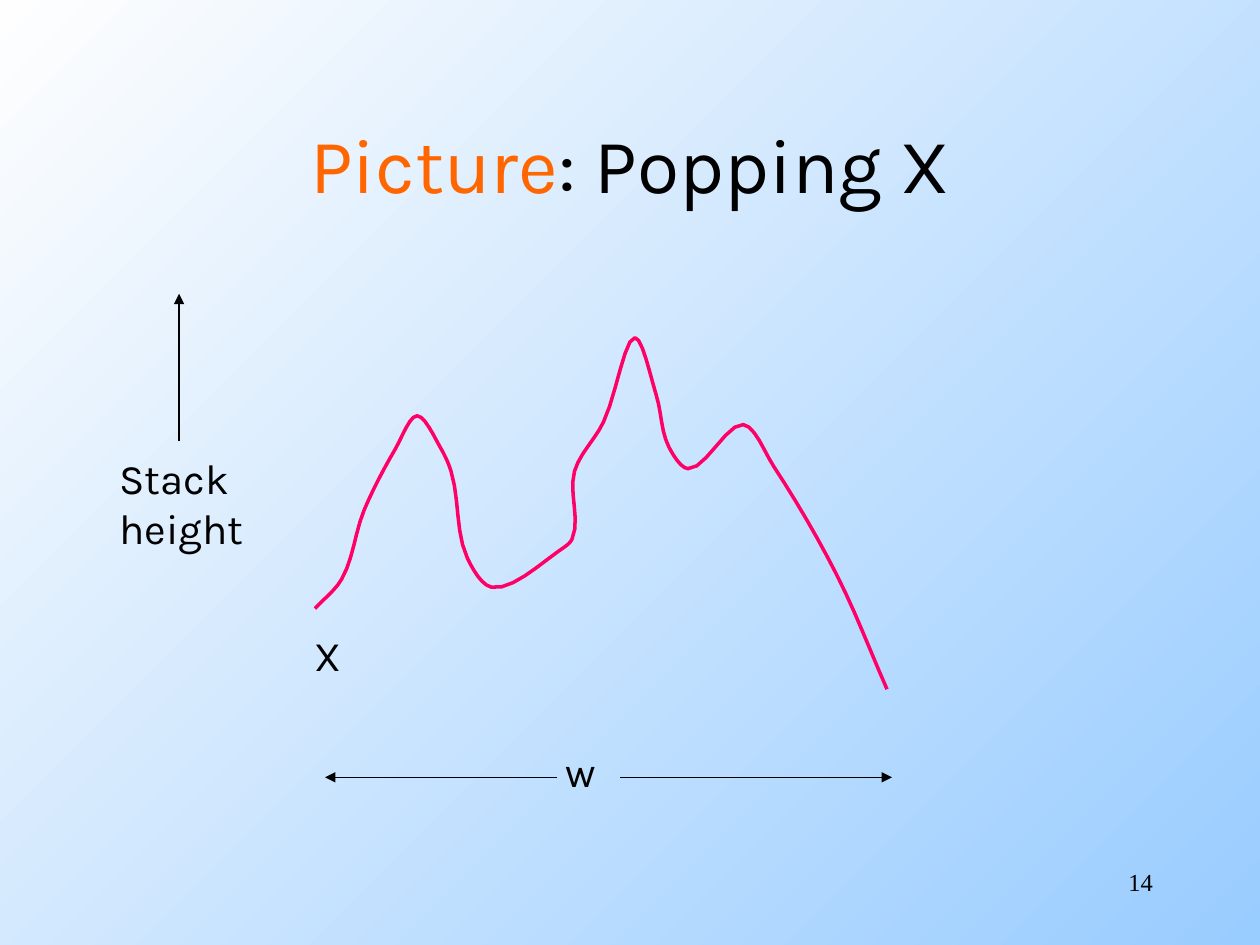
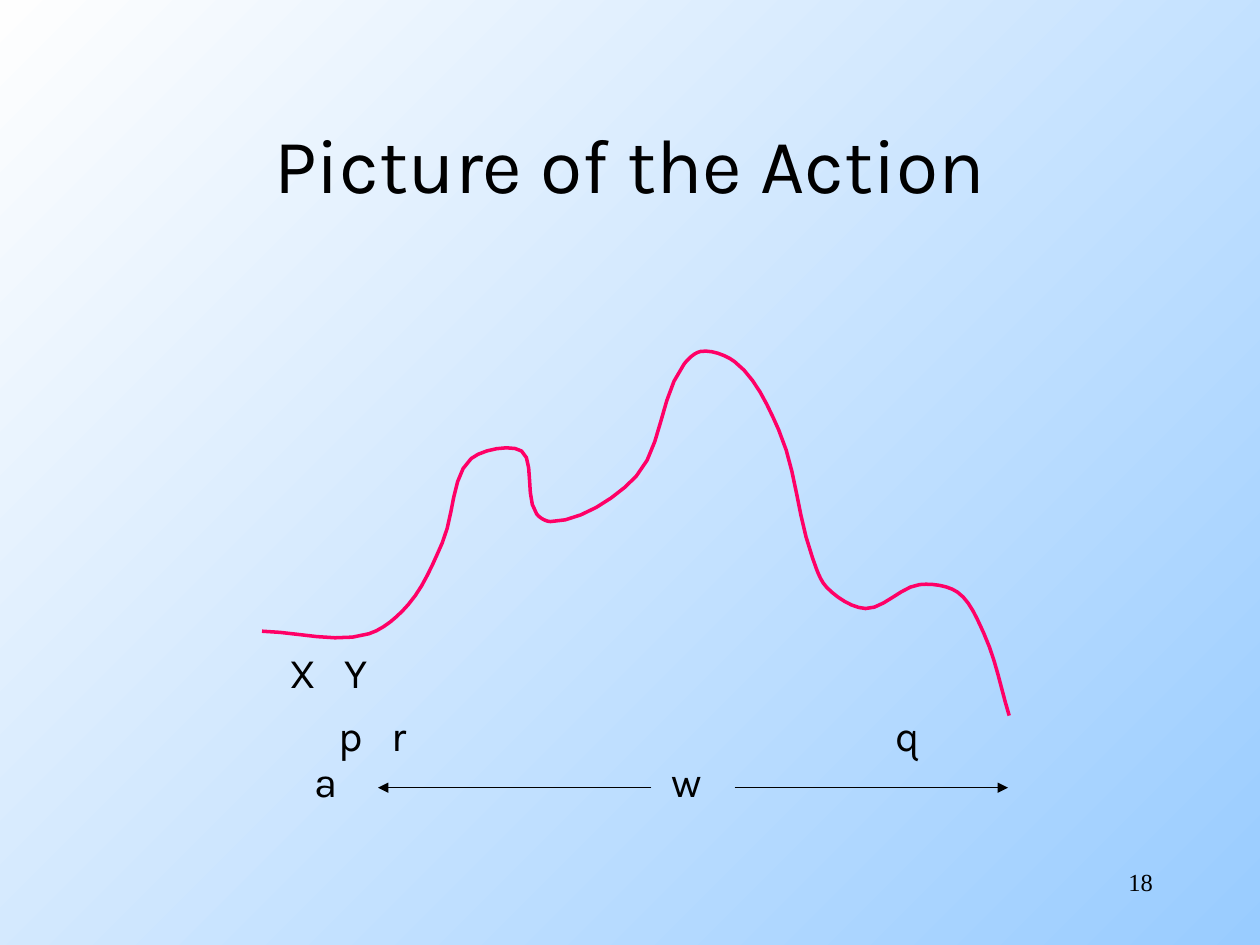
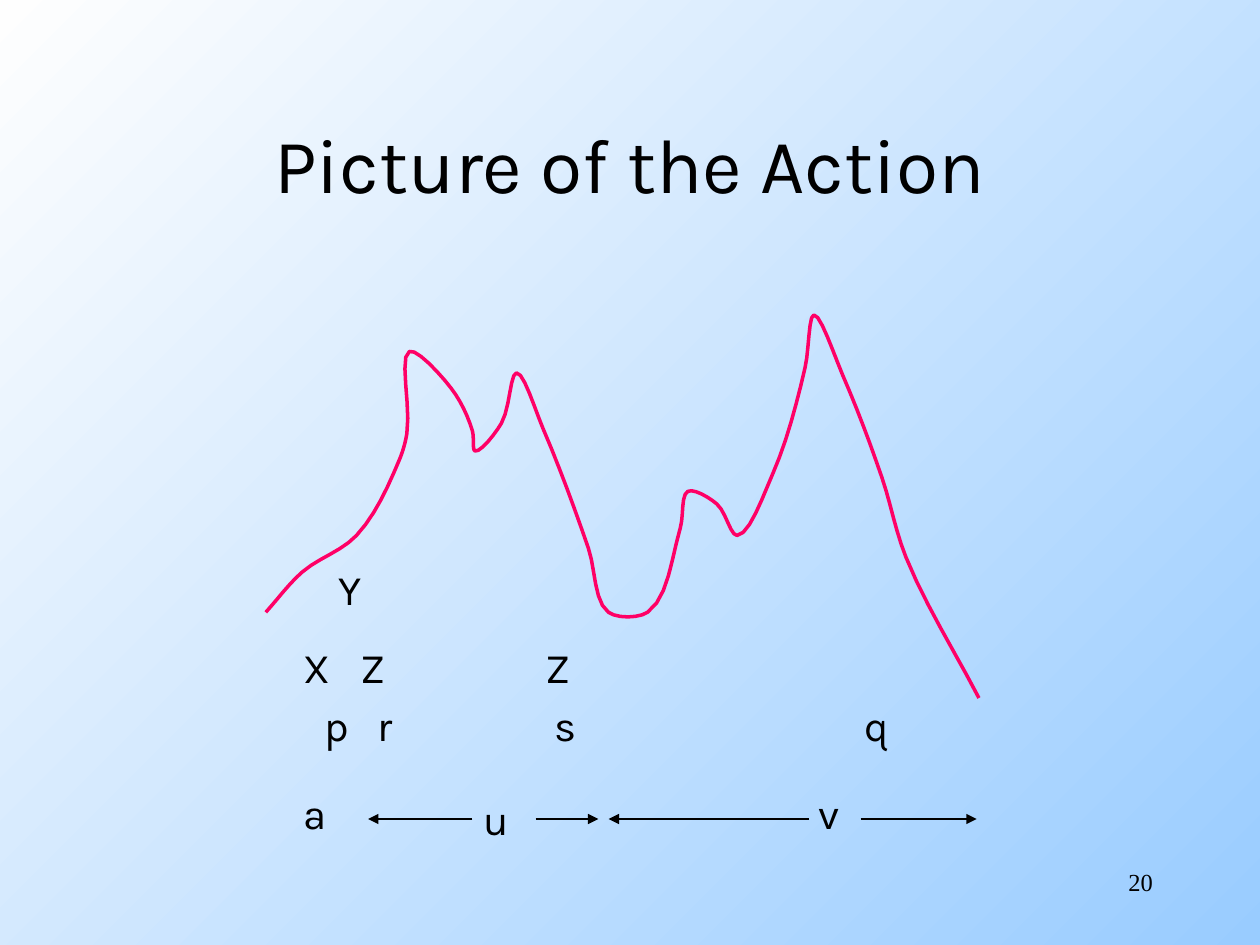
from dataclasses import dataclass
from itertools import pairwise
from math import dist

from lxml import etree
from pptx import Presentation, util as u
from pptx.dml.color import RGBColor
from pptx.enum import shapes, text
from pptx.oxml.ns import qn
from pptx.slide import Slide

BLACK = RGBColor(0x00, 0x00, 0x00)
ORANGE = RGBColor(0xFF, 0x66, 0x00)
PINK = RGBColor(0xFF, 0x00, 0x66)
BLUE = RGBColor(0x99, 0xCC, 0xFF)
WHITE = RGBColor(0xFE, 0xFE, 0xFE)

SANS, SERIF = "Karla", "Times New Roman"
GRID = u.Cm(2.54) / 100  # one step of the stack curves
STEPS = 6  # straight pieces per curve span

Point = tuple[float, float]
Run = tuple[str, RGBColor]


@dataclass
class Label:
    words: str
    left: float
    top: float
    width: float = 1
    tabs: tuple[float, ...] = ()
    height: float = 1.27


@dataclass
class Arrow:
    start: Point
    end: Point


@dataclass
class Scene:
    title: list[Run]
    number: int
    curve: list[Point]
    labels: list[Label]
    arrows: list[Arrow]


def spans(y: float, *ends: Point) -> list[Arrow]:
    """Level arrows at height y."""
    return [Arrow((start, y), (end, y)) for start, end in ends]


TITLE: list[Run] = [("Picture of the Action", BLACK)]

SCENES = [
    Scene(
        [("Picture", ORANGE), (": Popping X", BLACK)], 14,
        [(250, 483), (271, 460), (289, 405), (314, 356), (331, 330), (350, 356),
         (358, 374), (371, 443), (390, 466), (444, 437), (454, 428), (456, 374),
         (479, 335), (504, 268), (521, 314), (531, 355), (546, 372), (590, 337),
         (614, 370), (664, 456), (704, 547)],
        [Label("X", 6.1, 12.57),
         Label("w", 11.15, 14.91, 1.17),
         Label("Stack\nheight", 2.16, 8.99, 3.07, height=2.29)],
        [Arrow((3.61, 8.89), (3.61, 5.92)),
         *spans(15.67, (11.23, 6.55), (12.5, 17.98))],
    ),
    Scene(
        TITLE, 18,
        [(208, 501), (293, 503), (324, 480), (351, 431), (374, 364), (414, 358),
         (426, 408), (437, 414), (505, 378), (543, 289), (556, 279), (583, 287),
         (618, 341), (645, 443), (656, 466), (687, 483), (730, 464), (760, 470),
         (781, 503), (801, 568)],
        [Label("X\tY", 5.59, 12.9, 2.2, (1.1,)),
         Label("a", 6.1, 15.11),
         Label("w", 13.28, 15.11, 1.17),
         Label("p\tr\tq", 6.58, 14.17, 13.34, (1.07, 11.23))],
        spans(15.88, (13.13, 7.62), (14.81, 20.32)),
    ),
    Scene(
        TITLE, 20,
        [(211, 486), (240, 454), (283, 425), (317, 365), (323, 344), (325, 279),
         (358, 308), (375, 342), (377, 358), (398, 336), (410, 296), (431, 340),
         (467, 435), (483, 486), (514, 486), (540, 419), (546, 390), (569, 400),
         (585, 425), (613, 377), (639, 292), (646, 250), (669, 298), (700, 379),
         (719, 442), (777, 554)],
        [Label("X\tZ\tZ", 5.87, 12.8, 6.15, (1.15, 4.88)),
         Label("Y", 6.58, 11.23),
         Label("\tp\tr\ts\tq", 5.72, 13.97, 13.51, (0.58, 1.65, 5.2, 11.45)),
         Label("a", 5.87, 15.75),
         Label("u", 9.5, 15.88),
         Label("v", 16.26, 15.75)],
        spans(16.51, (9.52, 7.42), (10.8, 12.06), (16.31, 12.27), (17.35, 19.69)),
    ),
]


def put(slide: Slide, box: tuple[float, ...], **form):
    """Add a text box, sized in cm, with the given frame format."""
    frame = slide.shapes.add_textbox(*map(u.Cm, box)).text_frame
    for name, value in form.items():
        setattr(frame, name, value)
    return frame


def style(run, size: int, name: str = SANS, color: RGBColor = BLACK) -> None:
    for key, value in {"size": u.Pt(size), "name": name}.items():
        setattr(run.font, key, value)
    run.font.color.rgb = color


def draw_title(slide: Slide, runs: list[Run]) -> None:
    frame = put(slide, (1.91, 1.7, 21.59, 3.18), word_wrap=True,
                vertical_anchor=text.MSO_ANCHOR.MIDDLE)
    para = frame.paragraphs[0]
    para.alignment = text.PP_ALIGN.CENTER
    for words, color in runs:
        run = para.add_run()
        run.text = words
        style(run, 44, color=color)


def draw_number(slide: Slide, number: int) -> None:
    frame = put(slide, (18.21, 17.35, 5.28, 1.27), word_wrap=True, text=str(number))
    para = frame.paragraphs[0]
    para.alignment = text.PP_ALIGN.RIGHT
    style(para.runs[0], 14, SERIF)


def draw_label(slide: Slide, label: Label) -> None:
    box = (label.left, label.top, label.width, label.height)
    frame = put(slide, box, text=label.words, word_wrap=bool(label.tabs),
                auto_size=text.MSO_AUTO_SIZE.SHAPE_TO_FIT_TEXT)
    for para in frame.paragraphs:
        if label.tabs:
            stops = etree.SubElement(para._p.get_or_add_pPr(), qn("a:tabLst"))
            for pos in label.tabs:
                etree.SubElement(stops, qn("a:tab"), pos=str(u.Cm(pos)), algn="l")
        for run in para.runs:
            style(run, 24)


def draw_arrow(slide: Slide, arrow: Arrow) -> None:
    ends = map(u.Cm, arrow.start + arrow.end)
    line = slide.shapes.add_connector(shapes.MSO_CONNECTOR.STRAIGHT, *ends)
    line.line.color.rgb = BLACK
    line.line.width = u.Pt(0.75)
    props = line._element.spPr
    etree.SubElement(props.find(qn("a:ln")), qn("a:tailEnd"), type="triangle")
    etree.SubElement(props, qn("a:effectLst"))


def smooth(knots: list[Point]) -> list[Point]:
    """Cubic spans through the knots; the sharper the turn, the weaker the pull."""
    sides = [((bx - ax) / dist((ax, ay), (bx, by)), (by - ay) / dist((ax, ay), (bx, by)))
             for (ax, ay), (bx, by) in pairwise(knots)]
    pulls = [((ax + bx) / 2, (ay + by) / 2)
             for (ax, ay), (bx, by) in pairwise([sides[0], *sides, sides[-1]])]
    trail = [knots[0]]
    for (a, b), (pa, pb) in zip(pairwise(knots), pairwise(pulls)):
        reach = dist(a, b) / 3
        for step in range(1, STEPS + 1):
            t = step / STEPS
            s = 1 - t
            trail.append(tuple(
                s**3 * a[i] + 3 * s * s * t * (a[i] + pa[i] * reach)
                + 3 * s * t * t * (b[i] - pb[i] * reach) + t**3 * b[i]
                for i in (0, 1)))
    return trail


def draw_curve(slide: Slide, knots: list[Point]) -> None:
    first, *rest = [(x * GRID, y * GRID) for x, y in smooth(knots)]
    pen = slide.shapes.build_freeform(*first)
    pen.add_line_segments(rest, close=False)
    curve = pen.convert_to_shape()
    curve.shadow.inherit = False
    curve.fill.background()
    curve.line.color.rgb = PINK
    curve.line.width = u.Pt(2)


def paint(master) -> None:
    """Give all slides the diagonal blue backdrop."""
    fill = master.background.fill
    fill.gradient()
    fill.gradient_angle = 135
    for stop, color, place in zip(fill.gradient_stops, (BLUE, WHITE), (0, 1)):
        stop.color.rgb = color
        stop.position = place


def main() -> None:
    deck = Presentation()
    deck.slide_width, deck.slide_height = u.Cm(25.4), u.Cm(19.05)
    paint(deck.slide_master)
    for scene in SCENES:
        slide = deck.slides.add_slide(deck.slide_layouts[6])
        draw_title(slide, scene.title)
        draw_curve(slide, scene.curve)
        for label in scene.labels:
            draw_label(slide, label)
        for arrow in scene.arrows:
            draw_arrow(slide, arrow)
        draw_number(slide, scene.number)
    deck.save("out.pptx")


if __name__ == "__main__":
    main()
